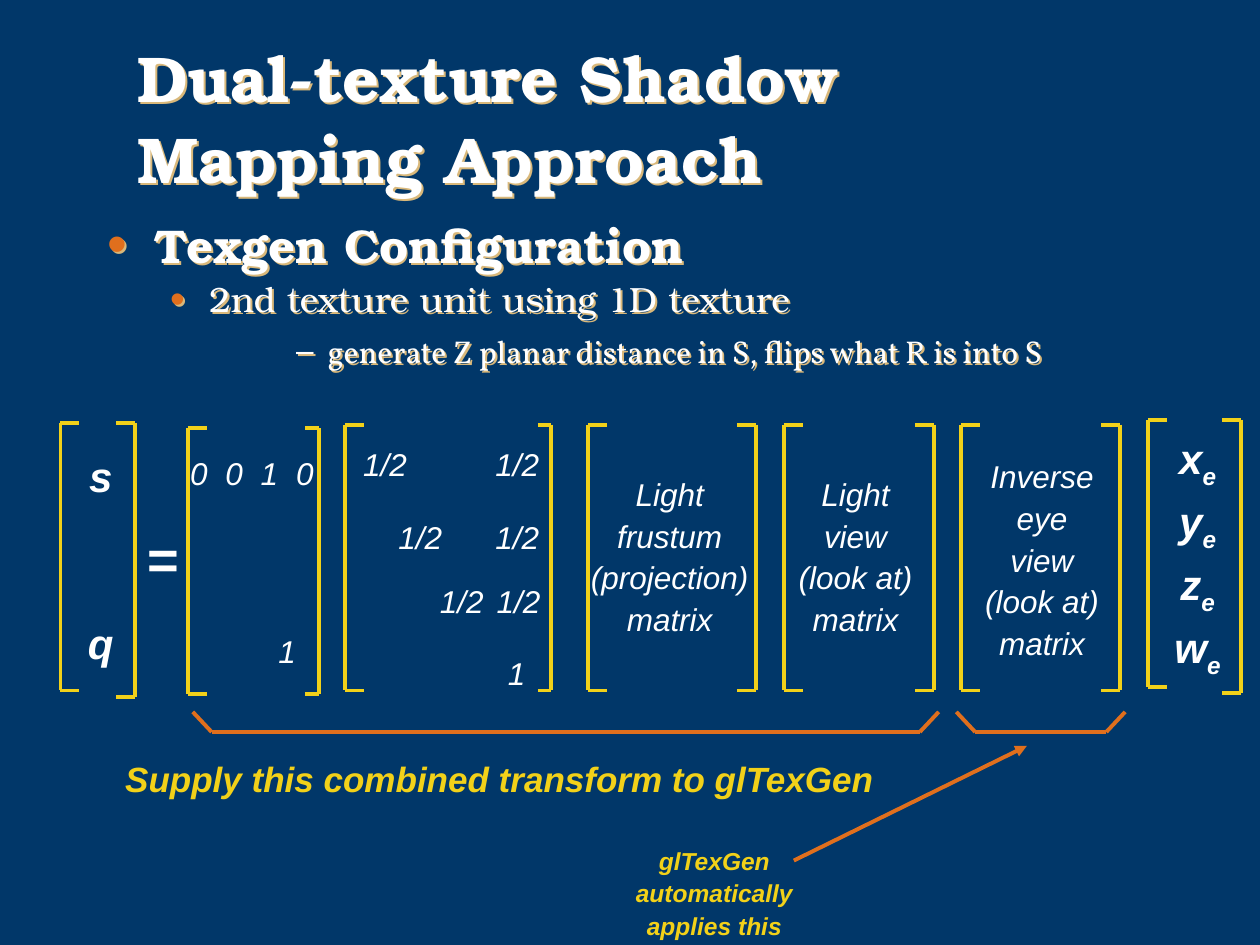
from lxml import etree
from pptx import Presentation
from pptx.dml.color import RGBColor
from pptx.enum.shapes import MSO_CONNECTOR
from pptx.enum.text import MSO_ANCHOR, MSO_AUTO_SIZE, PP_ALIGN
from pptx.oxml.ns import qn
from pptx.util import Inches, Pt

STRAIGHT = MSO_CONNECTOR.STRAIGHT
MIDDLE, TOP = MSO_ANCHOR.MIDDLE, MSO_ANCHOR.TOP
LEFT, CENTER = PP_ALIGN.LEFT, PP_ALIGN.CENTER
NAVY = RGBColor(0x01, 0x37, 0x69)
WHITE = RGBColor(0xFF, 0xFF, 0xFF)
YELLOW = RGBColor(0xF2, 0xD1, 0x19)
ORANGE = RGBColor(0xE0, 0x6F, 0x1D)
TAN = RGBColor(0xD9, 0xB8, 0x7A)
SERIF, BOOK, SANS = "TeX Gyre Bonum", "Vollkorn", "Arial"

prs = Presentation()
prs.slide_width, prs.slide_height = Inches(10), Inches(7.5)
s = prs.slides.add_slide(prs.slide_layouts[1])
s.background.fill.solid()
s.background.fill.fore_color.rgb = NAVY


def add_line(x1, y1, x2, y2, color):
    ln = s.shapes.add_connector(STRAIGHT, *map(Inches, (x1, y1, x2, y2)))
    ln.line.color.rgb = color
    ln.line.width = Pt(2.25)
    etree.SubElement(ln._element.spPr, qn("a:effectLst"))
    return ln


def add_label(text, x, y, w, h, size=18, color=WHITE, bold=False):
    """Centred italic label; an underscore starts a one-letter subscript."""
    tf = s.shapes.add_textbox(*map(Inches, (x, y, w, h))).text_frame
    tf.word_wrap = False
    tf.margin_left = tf.margin_right = 0
    tf.vertical_anchor = MIDDLE
    p = tf.paragraphs[0]
    p.alignment, p.line_spacing = CENTER, 1.1
    p.space_before = p.space_after = Pt(6)
    for i, row in enumerate(text.split("\n")):
        if i:
            p.add_line_break()
        for k, part in enumerate(row.split("_")):
            r = p.add_run()
            r.text = part
            f = r.font
            f.name, f.size, f.bold, f.italic = SANS, Pt(size), bold, True
            f.color.rgb = color
            if k:
                f._element.set("baseline", "-25000")
    return tf


# Title and bullet list, both with a soft tan shadow
title, body = s.shapes.title, s.placeholders[1]
for sp, box, anchor in ((title, (0.99, 0.33, 8.5, 1.17), MIDDLE),
                        (body, (0.75, 1.75, 9, 1.34), TOP)):
    sp.left, sp.top, sp.width, sp.height = map(Inches, box)
    sp.text_frame.word_wrap = True
    sp.text_frame.auto_size = MSO_AUTO_SIZE.NONE
    sp.text_frame.vertical_anchor = anchor
    effects = etree.SubElement(sp._element.spPr, qn("a:effectLst"))
    shadow = etree.SubElement(effects, qn("a:outerShdw"), dist="20000", dir="2700000")
    etree.SubElement(shadow, qn("a:srgbClr"), val=str(TAN))

title.text_frame.text = "Dual-texture Shadow\vMapping Approach"
p = title.text_frame.paragraphs[0]
p.alignment, p.line_spacing = LEFT, 1.05
for r in p.runs:
    r.font.name, r.font.size, r.font.bold = SERIF, Pt(37), True
    r.font.color.rgb = WHITE

# text, level, left, hang, line spacing, before, after, bullet, its colour and size, font, size, bold
BULLETS = [
    ("Texgen Configuration", 0, 0.38, 0.38, 0.8, 6.8, 0, "•", ORANGE, 120, SERIF, 27, True),
    ("2nd texture unit using 1D texture", 1, 0.81, 0.31, 0.9, 6, 6, "•", ORANGE, 120, SERIF, 20, False),
    ("generate Z planar distance in S, flips what R is into S",
     3, 1.75, 0.25, 0.8, 4.5, 0, "–", WHITE, 100, BOOK, 18, False),
]
tf = body.text_frame
tf.text = "\n".join(b[0] for b in BULLETS)
for p, (_, level, left, hang, spacing, before, after, char, color, pct,
        font, size, bold) in zip(tf.paragraphs, BULLETS):
    p.level, p.alignment, p.line_spacing = level, LEFT, spacing
    p.space_before, p.space_after = Pt(before), Pt(after)
    pPr = p._p.get_or_add_pPr()
    pPr.set("marL", str(Inches(left)))
    pPr.set("indent", str(-Inches(hang)))
    clr = etree.SubElement(pPr, qn("a:buClr"))
    etree.SubElement(clr, qn("a:srgbClr"), val=str(color))
    etree.SubElement(pPr, qn("a:buSzPct"), val=str(pct * 1000))
    etree.SubElement(pPr, qn("a:buChar"), char=char)
    f = p.runs[0].font
    f.name, f.size, f.bold = font, Pt(size), bold
    f.color.rgb = WHITE

# Matrix brackets: x, top, bottom, tick (negative ticks point left)
TICK = 0.15
for x, top, bottom, tick in (
        (0.48, 3.36, 5.48, TICK), (1.07, 3.36, 5.53, -TICK),
        (1.49, 3.4, 5.51, TICK), (2.53, 3.4, 5.51, -0.11),
        (2.74, 3.37, 5.48, TICK), (4.37, 3.37, 5.48, -0.1),
        (4.67, 3.37, 5.48, TICK), (6, 3.37, 5.48, -TICK),
        (6.22, 3.37, 5.48, TICK), (7.41, 3.37, 5.48, -TICK),
        (7.63, 3.37, 5.48, TICK), (8.89, 3.37, 5.48, -TICK),
        (9.11, 3.33, 5.45, TICK), (9.85, 3.33, 5.5, -TICK)):
    add_line(x, top, x, bottom, YELLOW)
    for y in (top, bottom):
        add_line(x, y, x + tick, y, YELLOW)

# Result vector, equals sign and eye-space vector
tf = add_label("s\nq", 0.6, 3.49, 0.4, 1.86, 24, bold=True)
tf.text = "s\nq"
for p, gap in zip(tf.paragraphs, (0, 64)):
    p.alignment, p.line_spacing, p.space_before = CENTER, 1.1, Pt(gap)
    f = p.runs[0].font
    f.name, f.size, f.bold, f.italic = SANS, Pt(24), True, True
    f.color.rgb = WHITE
add_label("=", 1.06, 4.07, 0.45, 0.67, 31, bold=True)
add_label("x_e\ny_e\nz_e\nw_e", 9.22, 3.34, 0.57, 2.1, 24, bold=True)

# Row-selection matrix, its first row set on equal tab stops
p = add_label("0\t0\t1\t0", 1.51, 3.52, 1.17, 0.43).paragraphs[0]
p.alignment = LEFT
tabs = etree.SubElement(p._p.get_or_add_pPr(), qn("a:tabLst"))
for col in (1, 2, 3):
    etree.SubElement(tabs, qn("a:tab"), pos=str(Inches(0.28 * col)), algn="l")
add_label("1", 2.11, 4.94, 0.34, 0.43)

# Scale-and-bias matrix
for x, y in ((2.78, 3.45), (3.83, 3.45), (3.06, 4.03), (3.83, 4.03),
             (3.39, 4.54), (3.84, 4.54)):
    add_label("1/2", x, y, 0.55, 0.43)
add_label("1", 3.93, 5.11, 0.34, 0.43)

# Named matrices
add_label("Light\nfrustum\n(projection)\nmatrix", 4.59, 3.69, 1.45, 1.42)
add_label("Light\nview\n(look at)\nmatrix", 6.24, 3.69, 1.1, 1.42)
add_label("Inverse\neye\nview\n(look at)\nmatrix", 7.72, 3.55, 1.1, 1.75)

# Braces under the matrices
for x1, x2 in ((1.68, 7.3), (7.74, 8.78)):
    add_line(x1, 5.81, x2, 5.81, ORANGE)
    add_line(x1, 5.81, x1 - TICK, 5.65, ORANGE)
    add_line(x2, 5.81, x2 + TICK, 5.65, ORANGE)

# Captions and arrow
add_label("Supply this combined transform to glTexGen", 0.89, 5.93, 6.15, 0.46, 20, YELLOW, True)
add_label("glTexGen\nautomatically\napplies this", 4.95, 6.64, 1.44, 0.87, 14, YELLOW, True)
arrow = add_line(6.3, 6.83, 8.15, 5.92, ORANGE)
etree.SubElement(arrow.line._get_or_add_ln(), qn("a:tailEnd"), type="triangle")

prs.save("out.pptx")
